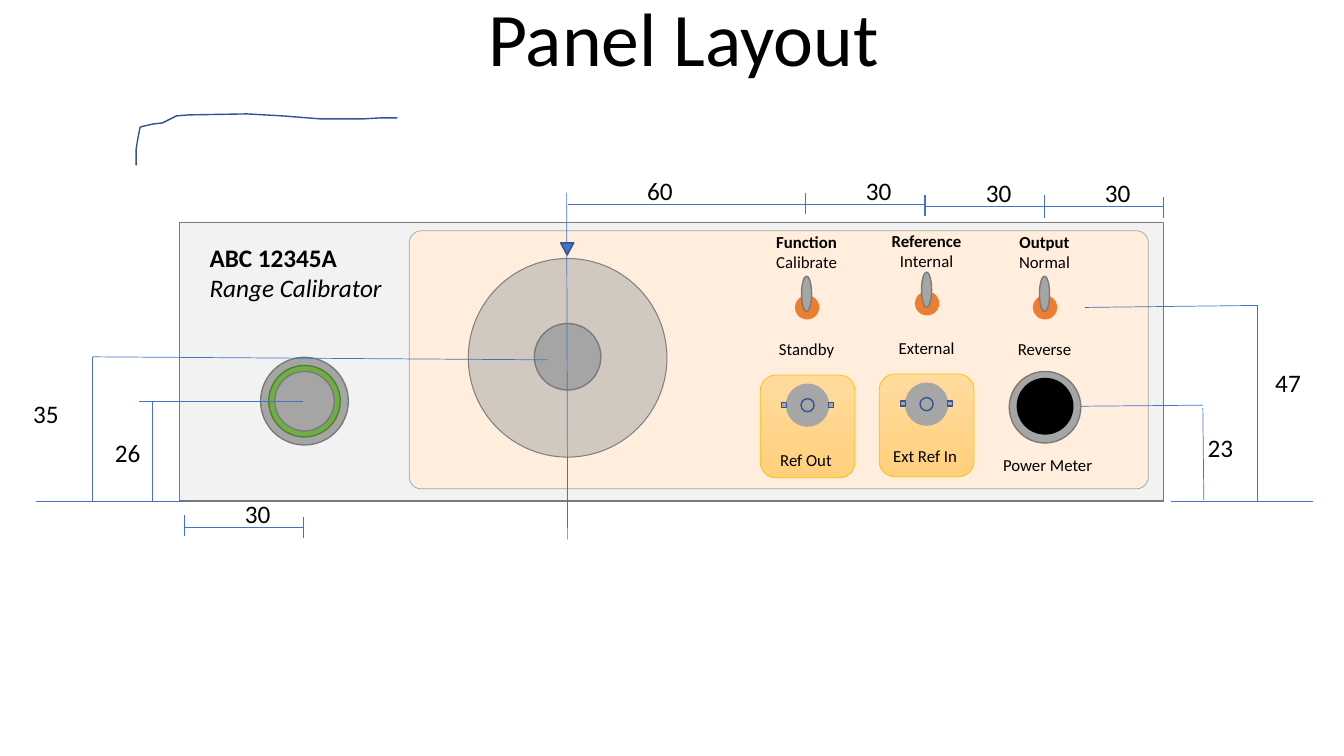
import lxml.etree
import pptx
import pptx.dml.color
import pptx.enum.shapes
import pptx.enum.text
import pptx.oxml.ns
import pptx.util

PX = 9144  # EMU per px, 100 px to the inch
COLORS = {
    "black": "000000", "case": "F2F2F2", "plate": "FFEEDD", "metal": "A5A5A5",
    "rim": "7A7A7A", "socket": "A6A6A6", "navy": "325491", "blue": "4472C4",
    "orange": "ED7D31", "green": "70AD47", "dark_green": "538035", "dial_rim": "808080",
    "card_top": "FFDB9E", "card_end": "FFD07C", "gold": "FFC000",
}
SHAPES = pptx.enum.shapes.MSO_SHAPE
ALIGN = pptx.enum.text.PP_ALIGN
ANCHOR = pptx.enum.text.MSO_ANCHOR


def rgb(name):
    return pptx.dml.color.RGBColor.from_string(COLORS[name])


def emu(*lengths):
    return [round(length * PX) for length in lengths]


def style(shape, fill, line, width):
    shape.shadow.inherit = False
    if fill:
        shape.fill.solid()
        shape.fill.fore_color.rgb = rgb(fill)
    else:
        shape.fill.background()
    if line:
        shape.line.color.rgb = rgb(line)
        shape.line.width = pptx.util.Pt(width)
    else:
        shape.line.fill.background()


def add_part(page, kind, box, fill, line=None, width=1):
    shape = page.shapes.add_shape(kind, *emu(*box))
    style(shape, fill, line, width)
    return shape


def add_disc(page, center_x, center_y, size, fill, line=None, width=1):
    box = (center_x - size / 2, center_y - size / 2, size, size)
    return add_part(page, SHAPES.OVAL, box, fill, line, width)


def add_line(page, *ends):
    line = page.shapes.add_connector(pptx.enum.shapes.MSO_CONNECTOR.STRAIGHT, *emu(*ends))
    line.line.color.rgb = rgb("blue")
    line.line.width = pptx.util.Pt(0.5)
    lxml.etree.SubElement(line._element.spPr, pptx.oxml.ns.qn("a:effectLst"))


def add_text(page, box, lines, size, align=ALIGN.LEFT, wrap=False):
    """Each line is (wording, bold, italic)."""
    frame = page.shapes.add_textbox(*emu(*box)).text_frame
    frame.word_wrap = wrap
    for index, (wording, bold, italic) in enumerate(lines):
        para = frame.paragraphs[0] if index == 0 else frame.add_paragraph()
        para.alignment = align
        span = para.add_run()
        span.text = wording
        span.font.name = "Calibri"
        span.font.size = pptx.util.Pt(size)
        span.font.bold, span.font.italic = bold, italic
        span.font.color.rgb = rgb("black")
    return frame


def add_label(page, box, wording, size=12, align=ALIGN.LEFT):
    add_text(page, box, [(wording, False, False)], size, align)


def add_title(page, box):
    frame = add_text(page, box, [("Panel Layout", False, False)], 54, ALIGN.CENTER, True)
    frame.vertical_anchor = ANCHOR.BOTTOM
    frame.paragraphs[0].line_spacing = 0.9


def add_case(page, box):
    left, top, width, height = box
    add_part(page, SHAPES.RECTANGLE, box, "case", "rim")
    plate = add_part(page, SHAPES.ROUNDED_RECTANGLE,
                     (left + 228, top + 8, 733, 256), "plate", "metal", 0.5)
    plate.adjustments[0] = 0.046
    add_text(page, (left + 20, top + 14, 241, 71),
             [("ABC 12345A", True, False), ("Range Calibrator", False, True)], 18, wrap=True)
    # Power button
    for size, fill, line in ((87, "metal", "rim"), (71, "green", "dark_green"),
                             (59, "metal", "rim")):
        add_disc(page, left + 124, top + 177, size, fill, line)
    # Main dial, half transparent, with its knob
    dial = add_disc(page, left + 385, top + 134, 197, "metal", "dial_rim", 0.75)
    color = dial._element.spPr.find(".//" + pptx.oxml.ns.qn("a:srgbClr"))
    lxml.etree.SubElement(color, pptx.oxml.ns.qn("a:alpha"), val="50000")
    add_disc(page, left + 385, top + 133, 66, "metal", "rim")


def add_switch(page, box, lever_top, heading, upper, lower):
    left, top, width, height = box
    middle = left + width / 2
    add_disc(page, middle + 0.5, lever_top + 31, 24, "orange")
    add_part(page, SHAPES.OVAL, (middle - 5, lever_top, 10, 35), "metal", "rim")
    add_text(page, (left, top, width, 50),
             [(heading, True, False), (upper, False, False)], 12, ALIGN.CENTER)
    add_label(page, (left, top + 106, width, 30), lower, align=ALIGN.CENTER)


def add_socket(page, box, wording, label_x, label_y):
    left, top, width, height = box
    card = add_part(page, SHAPES.ROUNDED_RECTANGLE, box, "card_top", "gold", 0.5)
    card.fill.gradient()
    card.fill.gradient_angle = 270
    for stop, color in zip(card.fill.gradient_stops, ("card_top", "card_end")):
        stop.color.rgb = rgb(color)
    middle, height_mark = left + width / 2, top + 30
    add_disc(page, middle, height_mark, 43, "socket")
    for offset in (21, -26):
        add_part(page, SHAPES.RECTANGLE, (middle + offset, height_mark - 3, 5, 5),
                 "socket", "navy")
    add_disc(page, middle, height_mark, 13, "socket", "navy")
    add_label(page, (left + label_x, top + label_y, 100, 30), wording)


def add_power_meter(page, box):
    left, top, width, height = box
    add_disc(page, left + width / 2, top + 36, 71, "metal", "rim")
    add_disc(page, left + width / 2, top + 35, 55, "black", "black")
    add_label(page, (left - 16, top + 78, 120, 30), "Power Meter")


def add_span(page, start, end, level, wording, label_x, ticks=True):
    add_line(page, start, level, end, level)
    if ticks:
        add_line(page, start, level - 12, start, level + 9)
        add_line(page, end, level - 10, end, level + 11)
    add_label(page, (label_x, level - 34, 46, 40), wording, 18)


def add_dimensions(page):
    # Distances across
    for start, level in ((1036, 205), (918, 205), (799, 203), (183, 523)):
        add_span(page, start, start + 118, level, "30", start + 50)
    add_span(page, 563, 799, 203, "60", 632, ticks=False)
    # Dial centre line and pointer
    add_line(page, 562, 191, 563, 535)
    pointer = add_part(page, SHAPES.ISOSCELES_TRIANGLE, (556, 241, 13, 12), "blue", "navy")
    pointer.rotation = 180
    # Heights with their leaders and base lines
    for ends in ((36, 497, 183, 497), (138, 398, 301, 398), (151, 399, 151, 497),
                 (543, 357, 92, 354), (92, 354, 92, 497),
                 (1161, 497, 1302, 497), (1076, 305, 1247, 303), (1247, 303, 1247, 497),
                 (1072, 403, 1193, 402), (1193, 405, 1194, 496)):
        add_line(page, *ends)
    for left, top, wording in ((104, 429, "26"), (23, 390, "35"),
                               (1255, 359, "47"), (1188, 424, "23")):
        add_label(page, (left, top, 46, 40), wording, 18)


def add_sketch_stroke(page, box):
    left, top, width, height = box
    points = ((242, 4), (225, 5), (207, 5), (183, 5), (145, 2), (110, 0), (52, 1),
              (40, 2), (32, 6), (26, 9), (17, 10), (4, 13), (2, 23), (0, 35), (0, 51))
    builder = page.shapes.build_freeform(left + width, top + 4, scale=PX)
    builder.add_line_segments([(left + x, top + y) for x, y in points], close=False)
    style(builder.convert_to_shape(), None, "navy", 1)


def main():
    deck = pptx.Presentation()
    deck.slide_width, deck.slide_height = emu(1333, 750)
    page = deck.slides.add_slide(deck.slide_layouts[6])
    add_title(page, (178, 17, 1000, 70))
    add_case(page, (178, 221, 976, 276))
    # Sockets along the lower row
    add_socket(page, (754, 372, 94, 102), "Ref Out", 10, 69)
    add_socket(page, (872, 371, 94, 102), "Ext Ref In", 4, 66)
    add_power_meter(page, (1001, 368, 71, 71))
    # Switches along the upper row
    for left, top, *details in ((755, 225, 274, "Function", "Calibrate", "Standby"),
                                (874, 224, 270, "Reference", "Internal", "External"),
                                (991, 225, 274, "Output", "Normal", "Reverse")):
        add_switch(page, (left, top, 90, 136), *details)
    add_dimensions(page)
    add_sketch_stroke(page, (135, 113, 259, 51))
    deck.save("out.pptx")


if __name__ == "__main__":
    main()
